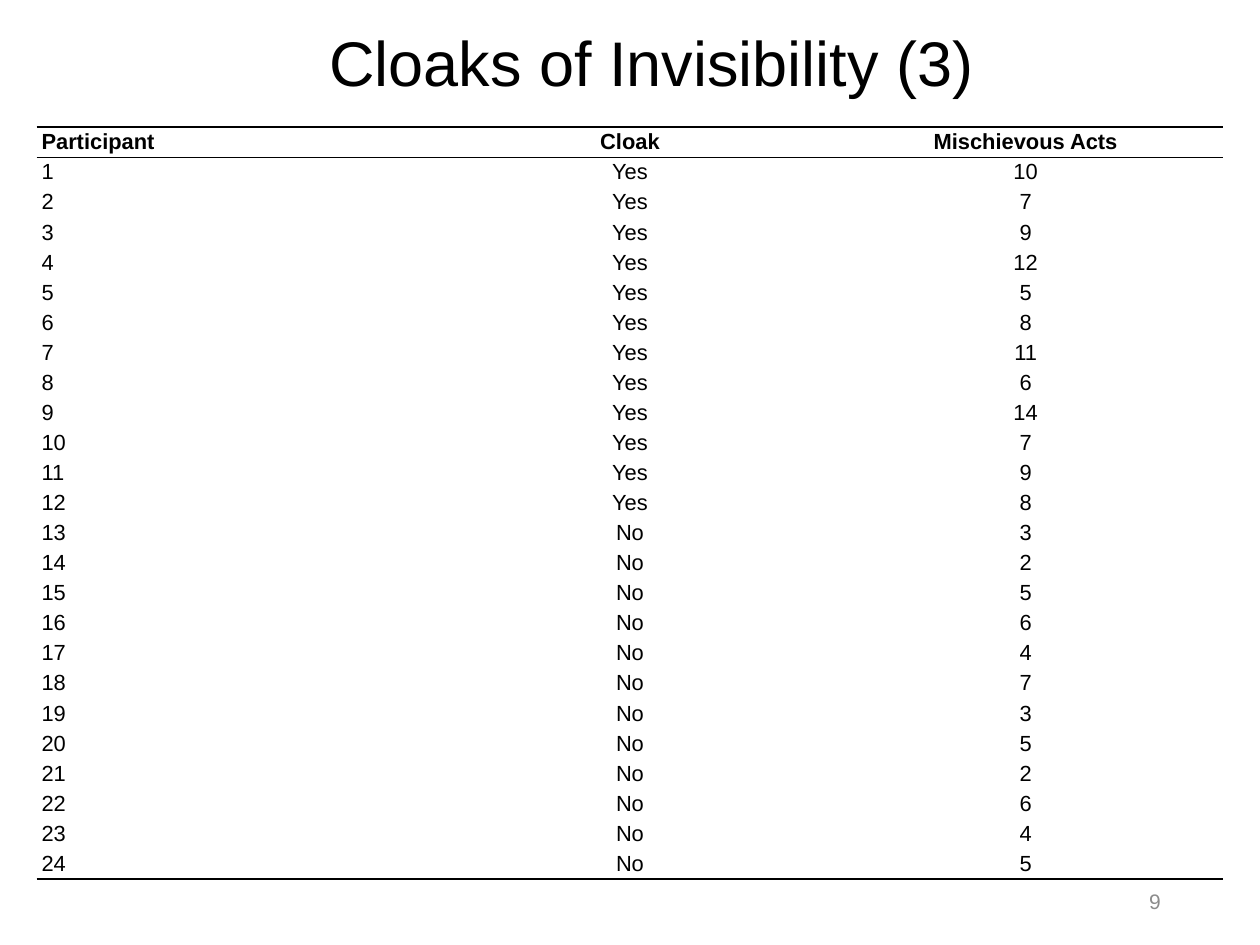
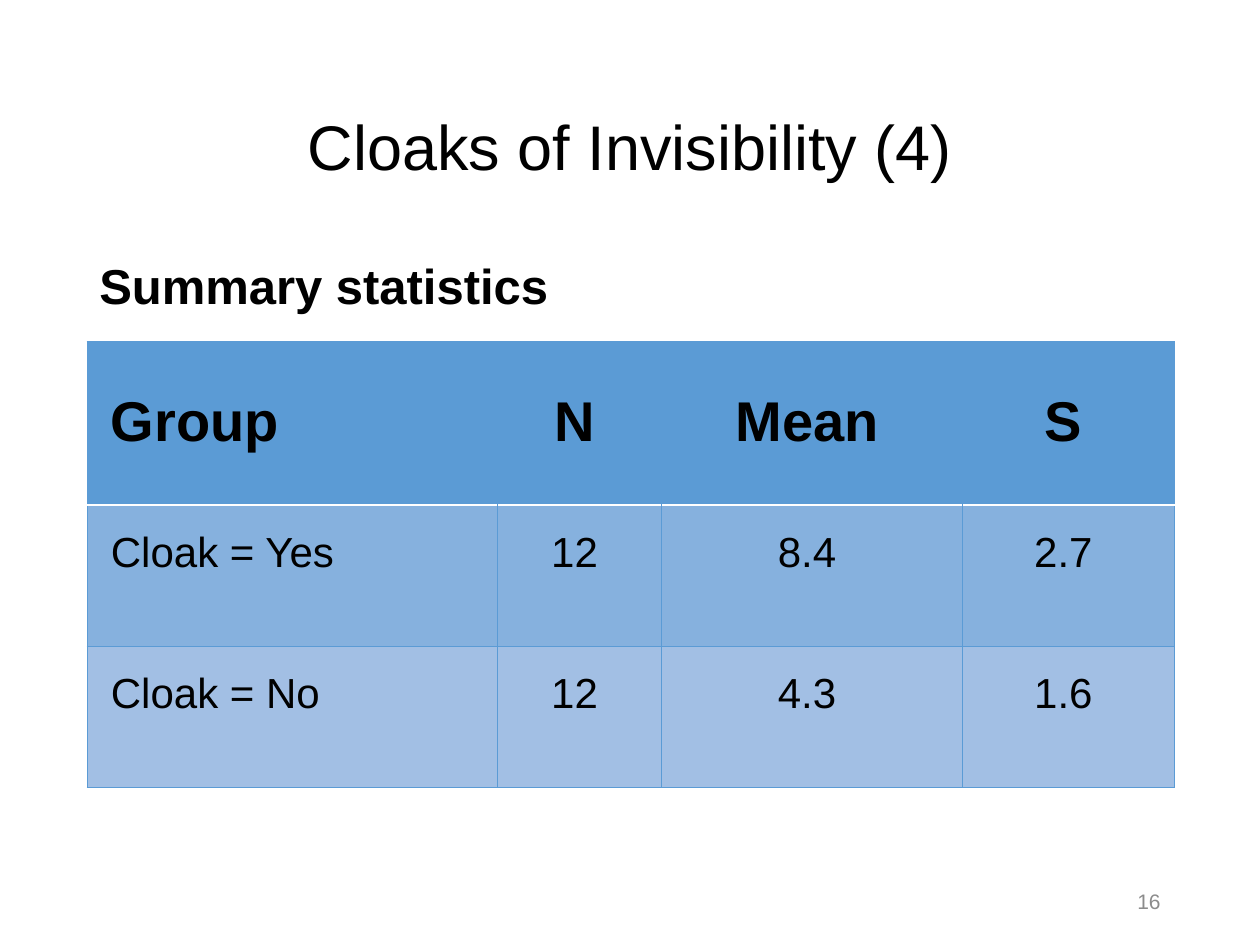
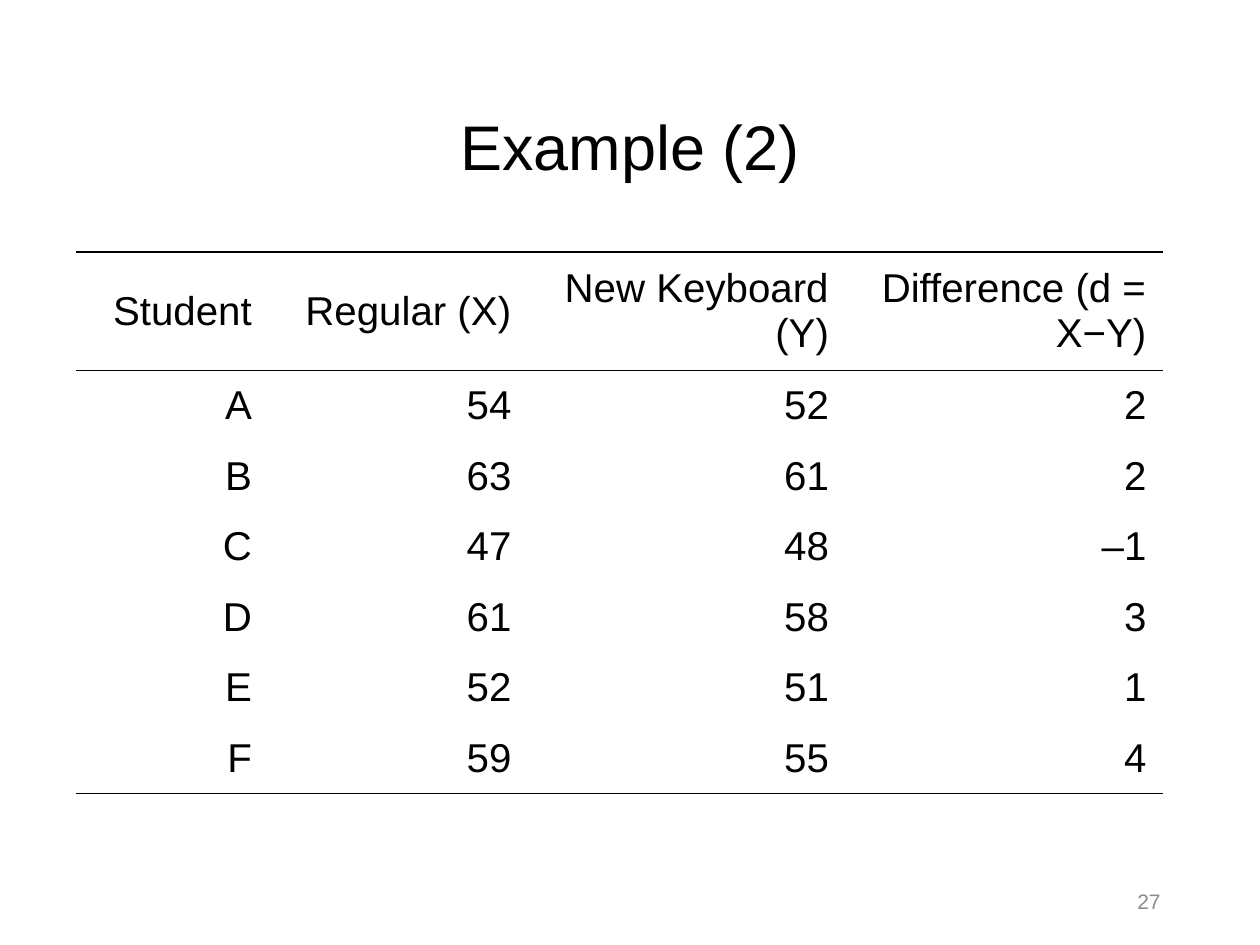
import pptx
import pptx.util
import pptx.dml.color
import pptx.enum.text
import pptx.oxml.ns
from lxml import etree

Inches, Pt = pptx.util.Inches, pptx.util.Pt
ALIGN = pptx.enum.text.PP_ALIGN
ANCHOR = pptx.enum.text.MSO_ANCHOR
AUTO = pptx.enum.text.MSO_AUTO_SIZE
qn = pptx.oxml.ns.qn

# Shared look
WIDTH, HEIGHT = 10, 7.5
FONT = "Arial"
BLACK, WHITE, GREY = "000000", "FFFFFF", "8C8C8C"
BLUE, MID_BLUE, PALE_BLUE = "5B9BD5", "86B1DE", "A2BFE4"
TITLE_BOX = (0.69, 0.47, 8.62, 1.45)
NUMBER_BOX = (7.06, 6.95, 2.25, 0.4)
PLAIN_STYLE = "{2D5ABB26-0587-4C30-8999-92F81FD0307C}"


def rgb(color):
    return pptx.dml.color.RGBColor.from_string(color)


def write(tf, text, size, color=BLACK, bold=False, align=ALIGN.LEFT):
    tf.text = text
    p = tf.paragraphs[0]
    p.alignment = align
    for r in p.runs:
        r.font.name, r.font.size, r.font.bold = FONT, Pt(size), bold
        r.font.color.rgb = rgb(color)
    return p


def add_text(s, box, text, size, anchor=ANCHOR.TOP, **style):
    tf = s.shapes.add_textbox(*map(Inches, box)).text_frame
    tf.word_wrap = True
    tf.vertical_anchor = anchor
    write(tf, text, size, **style)
    return tf


def add_slide(prs, title, number, title_box=TITLE_BOX):
    s = prs.slides.add_slide(prs.slide_layouts[5])
    sp = s.shapes.title
    sp.left, sp.top, sp.width, sp.height = map(Inches, title_box)
    tf = sp.text_frame
    tf.auto_size = AUTO.NONE
    tf.vertical_anchor = ANCHOR.MIDDLE
    write(tf, title, 36, align=ALIGN.CENTER).line_spacing = 0.9
    add_text(s, NUMBER_BOX, str(number), 12, ANCHOR.MIDDLE,
             color=GREY, align=ALIGN.RIGHT)
    return s


def set_borders(cell, borders):
    """Draw borders given as {side: (color, points)}; other sides get no line."""
    tc_pr = cell._tc.get_or_add_tcPr()
    for side in "LRTB":
        ln = etree.SubElement(tc_pr, qn("a:ln" + side))
        if side in borders:
            color, points = borders[side]
            ln.set("w", str(Pt(points)))
            fill = etree.SubElement(ln, qn("a:solidFill"))
            etree.SubElement(fill, qn("a:srgbClr"), val=color)
        else:
            etree.SubElement(ln, qn("a:noFill"))


def ruled(row, col, rows, cols):
    """Rules above and below the header and below the last row."""
    line = (BLACK, 1)
    if row == 0:
        return {"T": line, "B": line}
    if row == 1:
        return {"T": line}
    return {"B": line} if row == rows - 1 else {}


def boxed(row, col, rows, cols):
    """A grid in the body, and only an outline around the header."""
    line, divider = (BLUE, 0.5), (WHITE, 1)
    if row == 0:
        borders = {"T": line, "B": divider}
        if col == 0:
            borders["L"] = line
        if col == cols - 1:
            borders["R"] = line
        return borders
    return {"L": line, "R": line, "B": line, "T": divider if row == 1 else line}


def add_table(s, left, top, widths, heights, data, insets, borders, aligns,
              sizes, bold_header=False, header_anchor=ANCHOR.MIDDLE, fills=None):
    """Insets are left, top, right, bottom; sizes are header and body points."""
    rows, cols = len(data), len(widths)
    frame = s.shapes.add_table(rows, cols, Inches(left), Inches(top),
                               Inches(sum(widths)), Inches(sum(heights)))
    table = frame.table
    table._tbl.tblPr.find(qn("a:tableStyleId")).text = PLAIN_STYLE
    table.horz_banding = False
    for column, width in zip(table.columns, widths):
        column.width = Inches(width)
    for i, values in enumerate(data):
        table.rows[i].height = Inches(heights[i])
        header = i == 0
        for j, value in enumerate(values):
            cell = table.cell(i, j)
            (cell.margin_left, cell.margin_top,
             cell.margin_right, cell.margin_bottom) = map(Inches, insets)
            cell.vertical_anchor = header_anchor if header else ANCHOR.MIDDLE
            write(cell.text_frame, str(value), sizes[0 if header else 1],
                  bold=header and bold_header, align=aligns[j])
            set_borders(cell, borders(i, j, rows, cols))
            if fills:
                cell.fill.solid()
                cell.fill.fore_color.rgb = rgb(fills[i])
            else:
                cell.fill.background()


def participants_slide(prs):
    s = add_slide(prs, "Cloaks of Invisibility (3)", 9, (0.86, -0.2, 8.62, 1.45))
    acts = {"Yes": [10, 7, 9, 12, 5, 8, 11, 6, 14, 7, 9, 8],
            "No": [3, 2, 5, 6, 4, 7, 3, 5, 2, 6, 4, 5]}
    scores = [(cloak, n) for cloak, group in acts.items() for n in group]
    data = [("Participant", "Cloak", "Mischievous Acts")]
    data += [(i, *score) for i, score in enumerate(scores, 1)]
    pad = Pt(1.08).inches
    add_table(s, 0.29, 1.01, [3.14] * 3, [0.22] * len(data), data,
              (0.04, pad, 0.04, pad), ruled,
              [ALIGN.LEFT, ALIGN.CENTER, ALIGN.CENTER], (12.5, 12.5),
              bold_header=True)


def summary_slide(prs):
    s = add_slide(prs, "Cloaks of Invisibility (4)", 16)
    data = [("Group", "N", "Mean", "S"),
            ("Cloak = Yes", 12, 8.4, 2.7),
            ("Cloak = No", 12, 4.3, 1.6)]
    add_table(s, 0.69, 2.71, [3.26, 1.3, 2.39, 1.68], [1.3, 1.12, 1.12], data,
              (0.19, 0.05, 0.27, 0.41), boxed,
              [ALIGN.LEFT] + [ALIGN.CENTER] * 3, (32, 24), bold_header=True,
              header_anchor=ANCHOR.BOTTOM, fills=[BLUE, MID_BLUE, PALE_BLUE])
    tf = add_text(s, (0.69, 1.98, 5.37, 0.57), "Summary statistics", 28, bold=True)
    tf.auto_size = AUTO.SHAPE_TO_FIT_TEXT


def keyboard_slide(prs):
    s = add_slide(prs, "Example (2)", 27)
    data = [("Student", "Regular (X)", "New Keyboard (Y)", "Difference (d = X−Y)"),
            ("A", 54, 52, 2),
            ("B", 63, 61, 2),
            ("C", 47, 48, "–1"),
            ("D", 61, 58, 3),
            ("E", 52, 51, 1),
            ("F", 59, 55, 4)]
    add_table(s, 0.6, 2, [1.53, 2.06, 2.52, 2.52], [0.94] + [0.56] * 6, data,
              (0.13, 0.06, 0.13, 0.06), ruled, [ALIGN.RIGHT] * 4, (23, 23))


def main():
    prs = pptx.Presentation()
    prs.slide_width, prs.slide_height = Inches(WIDTH), Inches(HEIGHT)
    participants_slide(prs)
    summary_slide(prs)
    keyboard_slide(prs)
    prs.save("out.pptx")


if __name__ == "__main__":
    main()
